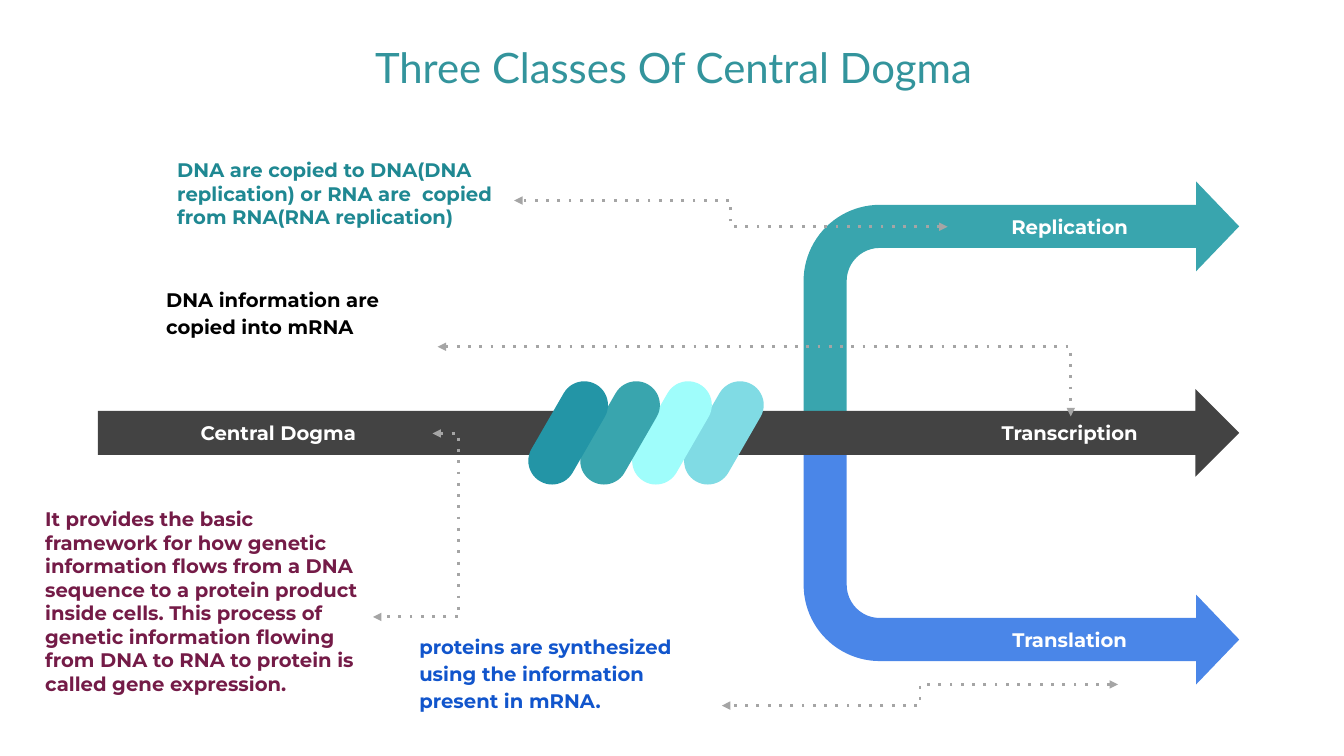
from lxml import etree
from pptx import Presentation
from pptx.dml.color import RGBColor
from pptx.enum.shapes import MSO_CONNECTOR, MSO_SHAPE
from pptx.enum.text import MSO_ANCHOR, PP_ALIGN
from pptx.oxml.ns import qn
from pptx.util import Inches, Pt

BENT, ARROW, PILL = MSO_SHAPE.BENT_ARROW, MSO_SHAPE.RIGHT_ARROW, MSO_SHAPE.ROUNDED_RECTANGLE
ELBOW = MSO_CONNECTOR.ELBOW
LEFT, CENTER = PP_ALIGN.LEFT, PP_ALIGN.CENTER
TOP, MIDDLE = MSO_ANCHOR.TOP, MSO_ANCHOR.MIDDLE

HUES = {
    "title": "33949C", "teal": "39A5AE", "blue": "4A86E8", "dark": "434343",
    "white": "FFFFFF", "black": "000000", "grey": "A5A5A5",
    "deep": "2395A6", "aqua": "9FFDFB", "pale": "80DBE4",
    "copy": "1F8892", "plum": "741B47", "royal": "1155CC",
}


class Board:
    def __init__(self, slide):
        self.slide = slide
        self.font, self.size = "Montserrat", 14

    def hue(self, name):
        return RGBColor.from_string(HUES[name])

    def shape(self, kind, box, hue, adjs, turn=0, flip=False):
        item = self.slide.shapes.add_shape(kind, *map(Inches, box))
        item.shadow.inherit = False
        item.fill.solid()
        item.fill.fore_color.rgb = self.hue(hue)
        item.line.fill.background()
        for i, value in enumerate(adjs):
            item.adjustments[i] = value
        item.rotation = turn
        if flip:
            item._element.spPr.find(qn("a:xfrm")).set("flipH", "1")

    def text(self, words, box, hue, align=LEFT, space=None, font=None,
             size=None, bold=True, anchor=TOP):
        frame = self.slide.shapes.add_textbox(*map(Inches, box)).text_frame
        frame.word_wrap = True
        frame.vertical_anchor = anchor
        frame.text = words
        para = frame.paragraphs[0]
        para.alignment = align
        if space:
            para.line_spacing = space
        style = para.runs[0].font
        style.name, style.size = font or self.font, Pt(size or self.size)
        style.bold = bold
        style.color.rgb = self.hue(hue)

    def link(self, start, end, kind="bentConnector3", bend=None):
        item = self.slide.shapes.add_connector(ELBOW, *map(Inches, start + end))
        item.line.color.rgb = self.hue("grey")
        item.line.width = Pt(2)
        props = item._element.spPr
        geom = props.find(qn("a:prstGeom"))
        geom.set("prst", kind)
        if bend is not None:
            guide = etree.SubElement(geom.find(qn("a:avLst")), qn("a:gd"))
            guide.set("name", "adj1")
            guide.set("fmla", f"val {round(bend * 100000)}")
        line = props.find(qn("a:ln"))
        for tag, key, value in (("prstDash", "val", "dot"),
                                ("headEnd", "type", "triangle"),
                                ("tailEnd", "type", "triangle")):
            etree.SubElement(line, qn("a:" + tag)).set(key, value)
        etree.SubElement(props, qn("a:effectLst"))


deck = Presentation()
deck.slide_width, deck.slide_height = Inches(13.33), Inches(7.5)
board = Board(deck.slides.add_slide(deck.slide_layouts[6]))

# Title
board.text("Three Classes Of Central Dogma", (0.35, 0.31, 12.66, 0.79), "title",
           CENTER, 0.8, "Lato", 29.9, False, MIDDLE)

# Branches and main arrow
curve = (0.185, 0.193, 0.185, 0.327)
board.shape(BENT, (7.97, 1.8, 4.32, 2.31), "teal", curve)
board.shape(BENT, (7.97, 4.48, 4.32, 2.31), "blue", curve, 180, True)
board.shape(ARROW, (0.97, 3.86, 11.32, 0.87), "dark", (0.5, 0.5))

# Slanted pills, the rightmost at the back
for i, hue in reversed(list(enumerate(("deep", "teal", "aqua", "pale")))):
    board.shape(PILL, (5.4 + i * 0.515, 3.74, 0.47, 1.11), hue, (0.5,), 30)

# Arrow labels
for words, left, top, width in (("Replication", 9.4, 2.08, 2.42),
                                ("Transcription", 9.4, 4.13, 2.42),
                                ("Translation", 9.4, 6.18, 2.42),
                                ("Central Dogma", 1.24, 4.13, 3.04)):
    board.text(words, (left, top, width, 0.34), "white", CENTER)

# Explanations
board.text("DNA are copied to DNA(DNA replication) or RNA are  copied from "
           "RNA(RNA replication)", (1.66, 1.52, 3.34, 0.25), "copy")
board.text("DNA information are copied into mRNA",
           (1.55, 2.77, 2.34, 0.34), "black", space=1.15)
board.text("It provides the basic framework for how genetic information flows "
           "from a DNA sequence to a protein product inside cells. This process "
           "of genetic information flowing from DNA to RNA to protein is called "
           "gene expression.", (0.35, 4.98, 3.34, 2.29), "plum")
board.text("proteins are synthesized using the information present in mRNA.",
           (4.06, 6.21, 2.88, 1.02), "royal", space=1.15)

# Dotted links
board.link((4.34, 3.44), (10.62, 4.13), "bentConnector2")
board.link((9.4, 2.25), (5.1, 1.99), bend=0.5)
board.link((4.29, 4.3), (3.7, 6.12), bend=-0.44)
board.link((11.09, 6.79), (7.16, 7), bend=0.5)

deck.save("out.pptx")
